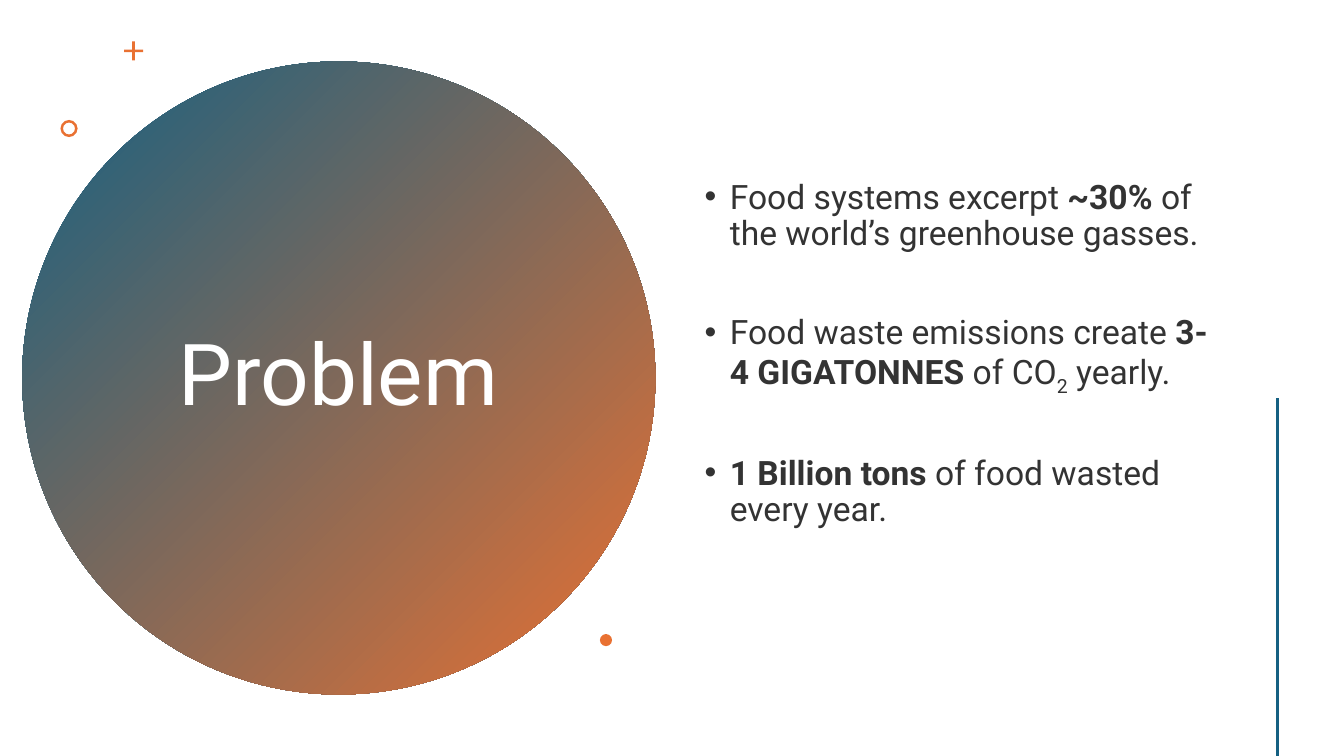
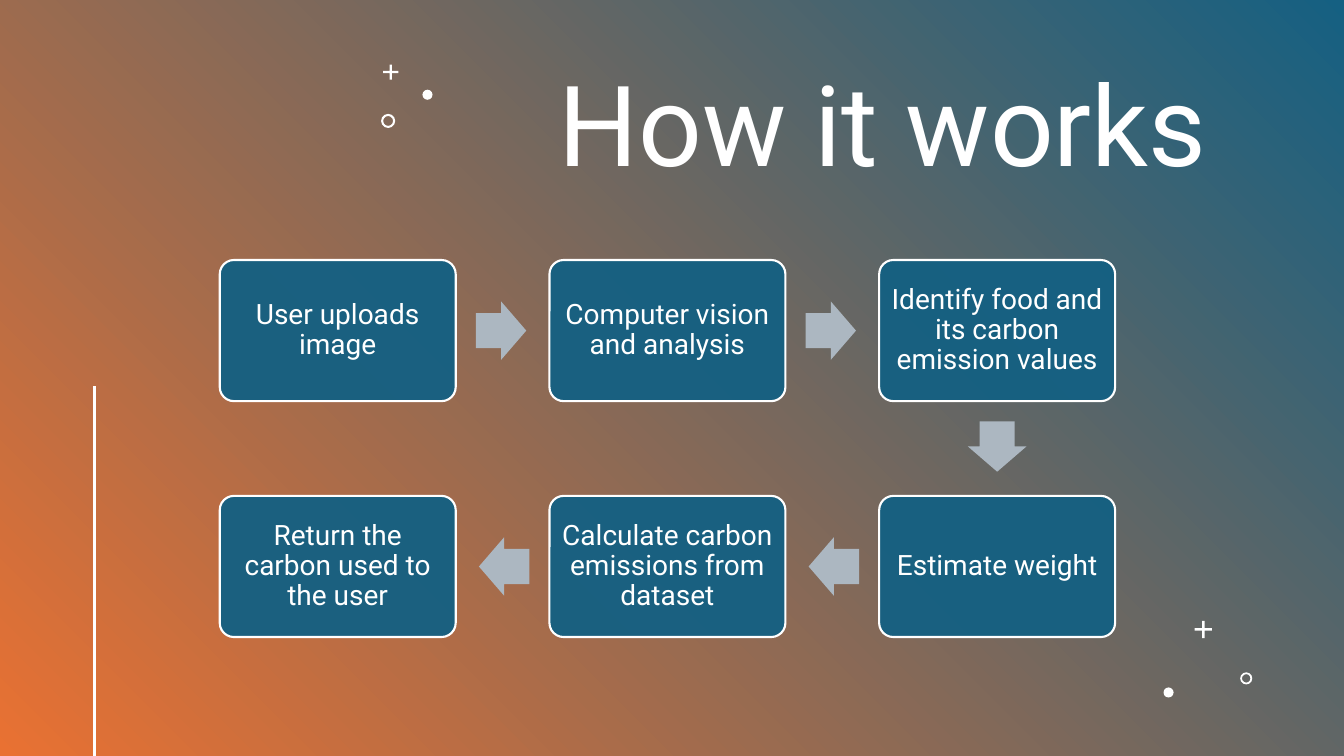
from lxml import etree
from pptx import Presentation
from pptx.dml.color import RGBColor
from pptx.enum.shapes import MSO_CONNECTOR, MSO_SHAPE
from pptx.enum.text import MSO_ANCHOR, PP_ALIGN
from pptx.oxml.ns import qn
from pptx.util import Inches, Pt

BLUE = RGBColor(0x15, 0x60, 0x82)
ORANGE = RGBColor(0xE9, 0x71, 0x32)
WHITE = RGBColor(0xFF, 0xFF, 0xFF)
INK = RGBColor(0x33, 0x33, 0x33)
ARROW_GREY = RGBColor(0xAC, 0xB7, 0xC1)
FONT = "Roboto"
SLIDE_WIDTH, SLIDE_HEIGHT = 13.33, 7.5

STRAIGHT = MSO_CONNECTOR.STRAIGHT
RECTANGLE = MSO_SHAPE.RECTANGLE
ROUNDED = MSO_SHAPE.ROUNDED_RECTANGLE
ARROW = MSO_SHAPE.RIGHT_ARROW
DOT = MSO_SHAPE.OVAL
RING = MSO_SHAPE.DONUT
PLUS = MSO_SHAPE.CROSS
MARK_ADJUSTMENTS = {PLUS: [0.43], RING: [0.15], DOT: []}
TOP, MIDDLE = MSO_ANCHOR.TOP, MSO_ANCHOR.MIDDLE
LEFT, CENTER, RIGHT = PP_ALIGN.LEFT, PP_ALIGN.CENTER, PP_ALIGN.RIGHT

PROBLEM_MARKS = [(PLUS, 1.23, 0.41, 0.19), (RING, 0.6, 1.19, 0.17), (DOT, 5.95, 6.29, 0.12)]
WORKFLOW_MARKS = [
    (PLUS, 3.8, 0.64, 0.15), (DOT, 4.19, 0.89, 0.1), (RING, 3.78, 1.13, 0.14),
    (PLUS, 11.85, 6.16, 0.17), (RING, 12.3, 6.67, 0.12), (DOT, 11.54, 6.82, 0.1),
]
PROBLEM_POINTS = [
    [("Food systems excerpt ", ""), ("~30% ", "bold"), ("of the world’s greenhouse gasses.", "")],
    [("Food waste emissions create ", ""), ("3-4 GIGATONNES", "bold"), (" of CO", ""),
     ("2", "subscript"), (" yearly.", "")],
    [("1 Billion tons", "bold"), (" of food wasted every year.", "")],
]
STEPS = [
    "User uploads image", "Computer vision and analysis",
    "Identify food and its carbon emission values", "Estimate weight",
    "Calculate carbon emissions from dataset", "Return the carbon used to the user",
]
COLUMNS = 3


def add_shape(slide, kind, box, color=None, adjustments=()):
    """Add a preset shape without line or shadow, filled if a colour is given."""
    shape = slide.shapes.add_shape(kind, *map(Inches, box))
    shape.shadow.inherit = False
    shape.line.fill.background()
    for index, value in enumerate(adjustments):
        shape.adjustments[index] = value
    if color is not None:
        shape.fill.solid()
        shape.fill.fore_color.rgb = color
    return shape


def add_gradient(slide, kind, box, angle):
    """Add a shape that runs from blue to orange at a counter-clockwise angle."""
    shape = add_shape(slide, kind, box)
    shape.fill.gradient()
    shape.fill.gradient_angle = angle
    for stop, position, color in zip(shape.fill.gradient_stops, (0, 1), (BLUE, ORANGE)):
        stop.position = position
        stop.color.rgb = color


def add_run(paragraph, text, size, color, style=""):
    """Add one run in the shared font."""
    run = paragraph.add_run()
    run.text = text
    run.font.name = FONT
    run.font.size = Pt(size)
    run.font.color.rgb = color
    run.font.bold = style == "bold"
    if style == "subscript":
        run.font._element.set("baseline", "-25000")


def format_paragraph(paragraph, alignment):
    """Set the alignment and the shared line spacing."""
    paragraph.alignment = alignment
    paragraph.line_spacing = 0.9


def add_text_box(slide, box, anchor):
    """Add a wrapping text box and return its text frame."""
    frame = slide.shapes.add_textbox(*map(Inches, box)).text_frame
    frame.word_wrap = True
    frame.vertical_anchor = anchor
    return frame


def add_title(slide, box, text, size, alignment, anchor):
    """Add a white slide title."""
    paragraph = add_text_box(slide, box, anchor).paragraphs[0]
    format_paragraph(paragraph, alignment)
    add_run(paragraph, text, size, WHITE)


def add_marks(slide, marks, color):
    """Scatter small plus signs, rings and dots."""
    for kind, left, top, size in marks:
        add_shape(slide, kind, (left, top, size, size), color, MARK_ADJUSTMENTS[kind])


def add_edge_line(slide, left, top, color):
    """Draw a vertical line down to the bottom edge of the slide."""
    line = slide.shapes.add_connector(
        STRAIGHT, Inches(left), Inches(top), Inches(left), Inches(SLIDE_HEIGHT))
    line.line.color.rgb = color
    line.line.width = Pt(2)
    etree.SubElement(line._element.spPr, qn("a:effectLst"))


def add_bullets(slide, box, points):
    """List bulleted points made of styled runs."""
    frame = add_text_box(slide, box, MIDDLE)
    for index, runs in enumerate(points):
        paragraph = frame.add_paragraph() if index else frame.paragraphs[0]
        format_paragraph(paragraph, LEFT)
        paragraph.space_before = Pt(10)
        paragraph.space_after = Pt(35)
        properties = paragraph._p.get_or_add_pPr()
        properties.set("marL", str(Inches(0.25)))
        properties.set("indent", str(-Inches(0.25)))
        etree.SubElement(properties, qn("a:buFont")).set("typeface", "Arial")
        etree.SubElement(properties, qn("a:buChar")).set("char", "•")
        for text, style in runs:
            add_run(paragraph, text, 24, INK, style)


def add_step(slide, box, text):
    """Add one rounded step of the flow."""
    step = add_shape(slide, ROUNDED, box, BLUE, [0.1])
    color = step._element.spPr.find(qn("a:solidFill"))[0]
    etree.SubElement(color, qn("a:alpha")).set("val", "96000")
    step.line.color.rgb = WHITE
    step.line.width = Pt(1.5)
    frame = step.text_frame
    frame.word_wrap = True
    frame.vertical_anchor = MIDDLE
    frame.margin_left = frame.margin_right = Inches(0.07)
    frame.margin_top = frame.margin_bottom = Inches(0.08)
    format_paragraph(frame.paragraphs[0], CENTER)
    add_run(frame.paragraphs[0], text, 20, WHITE)


def add_flow(slide, box, steps):
    """Lay steps out in a winding grid, with a block arrow after each but the last."""
    left, top, width, height = box
    step_width, step_height, reach = 2.34, 1.4, 0.45
    arrow_width, arrow_height = 0.5, 0.58
    rows = len(steps) // COLUMNS
    column_pitch = (width - step_width) / (COLUMNS - 1)
    row_pitch = (height - step_height) / (rows - 1)
    for index, text in enumerate(steps):
        row, place = divmod(index, COLUMNS)
        forward = row % 2 == 0
        column = place if forward else COLUMNS - 1 - place
        x, y = left + column * column_pitch, top + row * row_pitch
        add_step(slide, (x, y, step_width, step_height), text)
        if index == len(steps) - 1:
            continue
        center_x, center_y = x + step_width / 2, y + step_height / 2
        if place == COLUMNS - 1:
            rotation = 90
            center_y += step_height / 2 + reach
        else:
            rotation = 0 if forward else 180
            center_x += (step_width / 2 + reach) * (1 if forward else -1)
        arrow_box = (center_x - arrow_width / 2, center_y - arrow_height / 2,
                     arrow_width, arrow_height)
        add_shape(slide, ARROW, arrow_box, ARROW_GREY, [0.6, 0.5]).rotation = rotation


def build_problem(slide):
    """Build the problem slide: a titled disc beside three points."""
    add_gradient(slide, DOT, (0.22, 0.61, 6.28, 6.28), 315)
    add_title(slide, (1.36, 1.41, 3.99, 4.67), "Problem", 61, CENTER, MIDDLE)
    add_marks(slide, PROBLEM_MARKS, ORANGE)
    add_bullets(slide, (6.89, 0.57, 5.22, 5.89), PROBLEM_POINTS)
    add_edge_line(slide, 12.67, 3.95, BLUE)


def build_workflow(slide):
    """Build the workflow slide: six steps on a gradient."""
    add_gradient(slide, RECTANGLE, (0, 0, SLIDE_WIDTH, SLIDE_HEIGHT), 225)
    add_title(slide, (4.24, 0.64, 7.83, 1.4), "How it works", 80, RIGHT, TOP)
    add_marks(slide, WORKFLOW_MARKS, WHITE)
    add_edge_line(slide, 0.94, 3.83, WHITE)
    add_flow(slide, (2.18, 2.58, 8.88, 3.74), STEPS)


def main():
    """Build and save the presentation."""
    presentation = Presentation()
    presentation.slide_width = Inches(SLIDE_WIDTH)
    presentation.slide_height = Inches(SLIDE_HEIGHT)
    for build in (build_problem, build_workflow):
        build(presentation.slides.add_slide(presentation.slide_layouts[6]))
    presentation.save("out.pptx")


if __name__ == "__main__":
    main()
